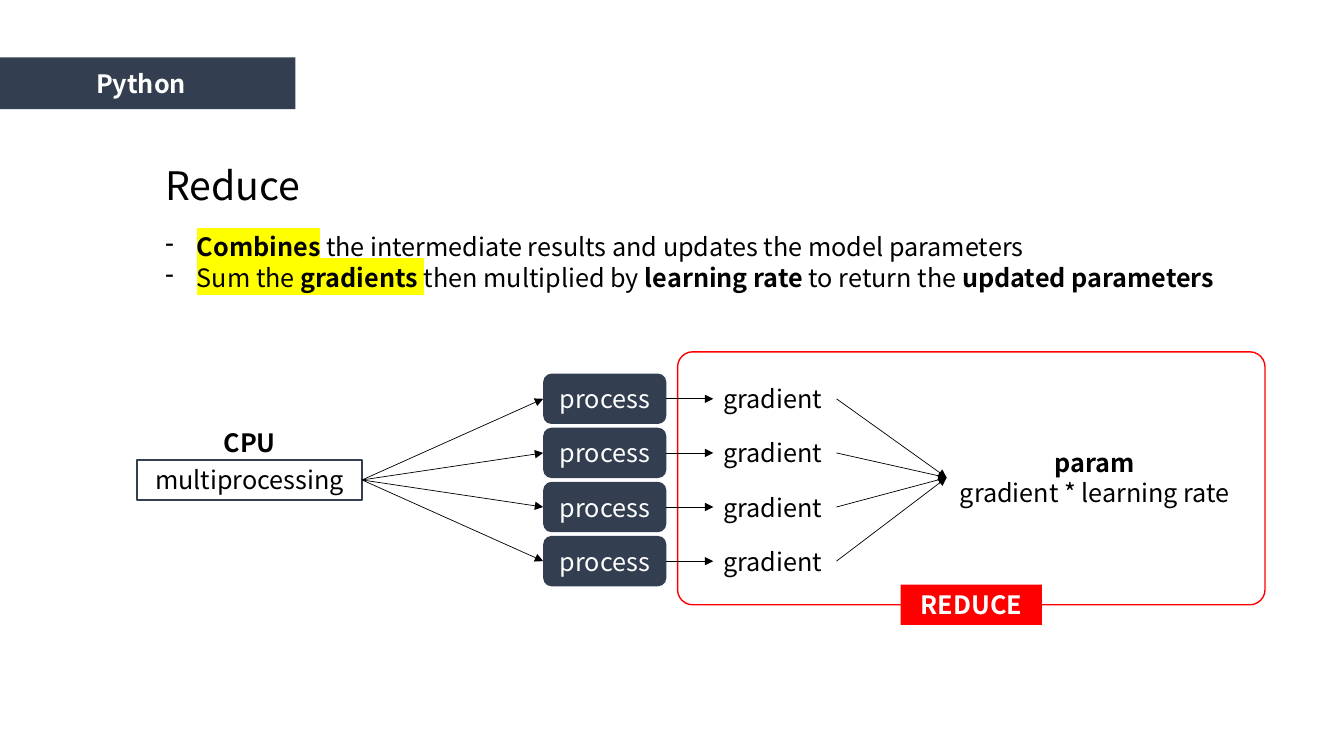
from lxml.etree import SubElement
from pptx import Presentation
from pptx.dml.color import RGBColor
from pptx.enum.shapes import MSO_CONNECTOR, MSO_SHAPE
from pptx.enum.text import MSO_ANCHOR, MSO_AUTO_SIZE, PP_ALIGN
from pptx.oxml import parse_xml
from pptx.oxml.ns import nsdecls, qn
from pptx.util import Pt

FONT = "Noto Sans CJK KR"
NAVY, RED, BLACK, WHITE, YELLOW = "333F50", "FF0000", "000000", "FFFFFF", "FFFF00"
LINE_H = 28.8  # height of a box with one line of text
RESULTS = [
    [("Combines", True, YELLOW),
     (" the intermediate results and updates the model parameters", False, None)],
    [("Sum the ", False, YELLOW), ("gradients", True, YELLOW), (" ", False, YELLOW),
     ("then multiplied by ", False, None), ("learning rate ", True, None),
     ("to return the ", False, None), ("updated parameters", True, None)],
]


def rgb(color):
    return RGBColor.from_string(color)


def add_run(p, text, size=18, color=BLACK, bold=False, highlight=None):
    r = p.add_run()
    r.text = text
    r.font.size, r.font.name, r.font.bold = Pt(size), FONT, bold
    r.font.color.rgb = rgb(color)
    if highlight:
        mark = parse_xml(f'<a:highlight {nsdecls("a")}><a:srgbClr val="{highlight}"/></a:highlight>')
        r.font._element.find(qn("a:solidFill")).addnext(mark)


def add_text(s, x, y, w, h, align=PP_ALIGN.LEFT):
    """Add an empty text box and return it with its first paragraph."""
    sp = s.shapes.add_textbox(Pt(x), Pt(y), Pt(w), Pt(h))
    tf = sp.text_frame
    tf.word_wrap = True
    tf.auto_size = MSO_AUTO_SIZE.SHAPE_TO_FIT_TEXT
    p = tf.paragraphs[0]
    p.alignment = align
    return sp, p


def add_box(s, kind, x, y, w, h, fill=None, line=None, line_w=1.0,
            text="", color=WHITE, bold=False, grow=False):
    sp = s.shapes.add_shape(kind, Pt(x), Pt(y), Pt(w), Pt(h))
    sp.shadow.inherit = False
    if fill:
        sp.fill.solid()
        sp.fill.fore_color.rgb = rgb(fill)
    else:
        sp.fill.background()
    if line:
        sp.line.color.rgb = rgb(line)
        sp.line.width = Pt(line_w)
    else:
        sp.line.fill.background()
    if text:
        tf = sp.text_frame
        tf.word_wrap = True
        tf.vertical_anchor = MSO_ANCHOR.TOP if grow else MSO_ANCHOR.MIDDLE
        if grow:
            tf.auto_size = MSO_AUTO_SIZE.SHAPE_TO_FIT_TEXT
        p = tf.paragraphs[0]
        p.alignment = PP_ALIGN.CENTER
        add_run(p, text, color=color, bold=bold)
    return sp


def add_arrow(s, source, target):
    """Join the right side of source to the left side of target."""
    c = s.shapes.add_connector(MSO_CONNECTOR.STRAIGHT, 0, 0, 0, 0)
    c.begin_connect(source, 3)
    c.end_connect(target, 1)
    c.line.color.rgb = rgb(BLACK)
    c.line.width = Pt(0.5)
    SubElement(c.line._get_or_add_ln(), qn("a:tailEnd"), type="triangle")
    SubElement(c._element.spPr, qn("a:effectLst"))


def topic_tab(s, x, y, w, h):
    sp = add_box(s, MSO_SHAPE.RECTANGLE, x, y, w, h, fill=NAVY, text="Python", bold=True)
    sp.text_frame.margin_right = Pt(16.5)


def summary(s, x, y, w):
    add_run(add_text(s, x, y, w, 41)[1], "Reduce", size=28)
    sp, p = add_text(s, x, y + 50.4, w, 51)
    for i, runs in enumerate(RESULTS):
        if i:
            p = sp.text_frame.add_paragraph()
        pPr = p._p.get_or_add_pPr()
        pPr.set("marL", str(Pt(22.5)))
        pPr.set("indent", str(Pt(-22.5)))
        SubElement(pPr, qn("a:buChar"), char="-")
        for text, bold, highlight in runs:
            add_run(p, text, bold=bold, highlight=highlight)


def reduce_diagram(s, x, y, w, h):
    frame_x, frame_w = x + 386, w - 386
    source_w, process_w, process_h, pitch = 160.6, 88, 36, 38.65
    middle = y + h / 2 + 1.2

    _, p = add_text(s, x + (source_w - 79) / 2, middle - 41, 79, LINE_H, PP_ALIGN.CENTER)
    add_run(p, "CPU", bold=True)
    source = add_box(s, MSO_SHAPE.RECTANGLE, x, middle - LINE_H / 2, source_w, LINE_H,
                     line=NAVY, line_w=1.5, text="multiprocessing", color=BLACK, grow=True)

    frame = add_box(s, MSO_SHAPE.ROUNDED_RECTANGLE, frame_x, y, frame_w, h, line=RED)
    frame.adjustments[0] = 0.06
    add_box(s, MSO_SHAPE.RECTANGLE, frame_x + (frame_w - 101) / 2, y + h - LINE_H / 2, 101, LINE_H,
            fill=RED, text="REDUCE", bold=True, grow=True)

    param, p = add_text(s, x + 578.2, middle - 27.2, 211.8, 51, PP_ALIGN.CENTER)
    add_run(p, "param", bold=True)
    p.add_line_break()
    add_run(p, "gradient * learning rate")

    for i in range(4):
        row = middle + (i - 1.5) * pitch
        process = add_box(s, MSO_SHAPE.ROUNDED_RECTANGLE, x + 290, row - process_h / 2,
                          process_w, process_h, fill=NAVY, text="process")
        gradient, p = add_text(s, x + 411.5, row - LINE_H / 2, process_w, LINE_H)
        add_run(p, "gradient")
        add_arrow(s, source, process)
        add_arrow(s, process, gradient)
        add_arrow(s, gradient, param)


def main():
    prs = Presentation()
    prs.slide_width, prs.slide_height = Pt(960), Pt(540)
    s = prs.slides.add_slide(prs.slide_layouts[6])
    topic_tab(s, 0, 41, 211, 37)
    summary(s, 111, 111.6, 767.5)
    reduce_diagram(s, 98, 251.3, 805.6, 180.7)
    prs.save("out.pptx")


if __name__ == "__main__":
    main()
